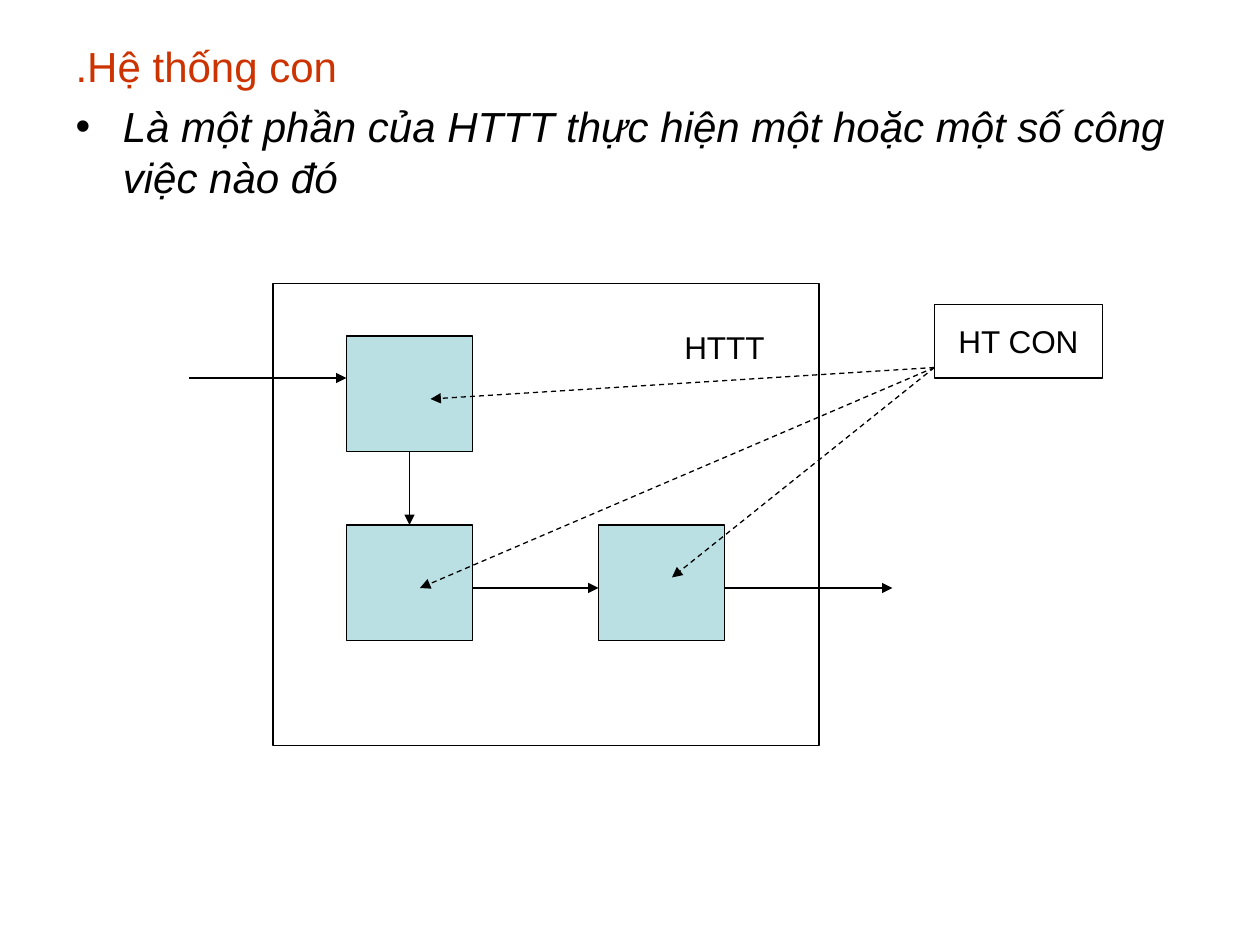
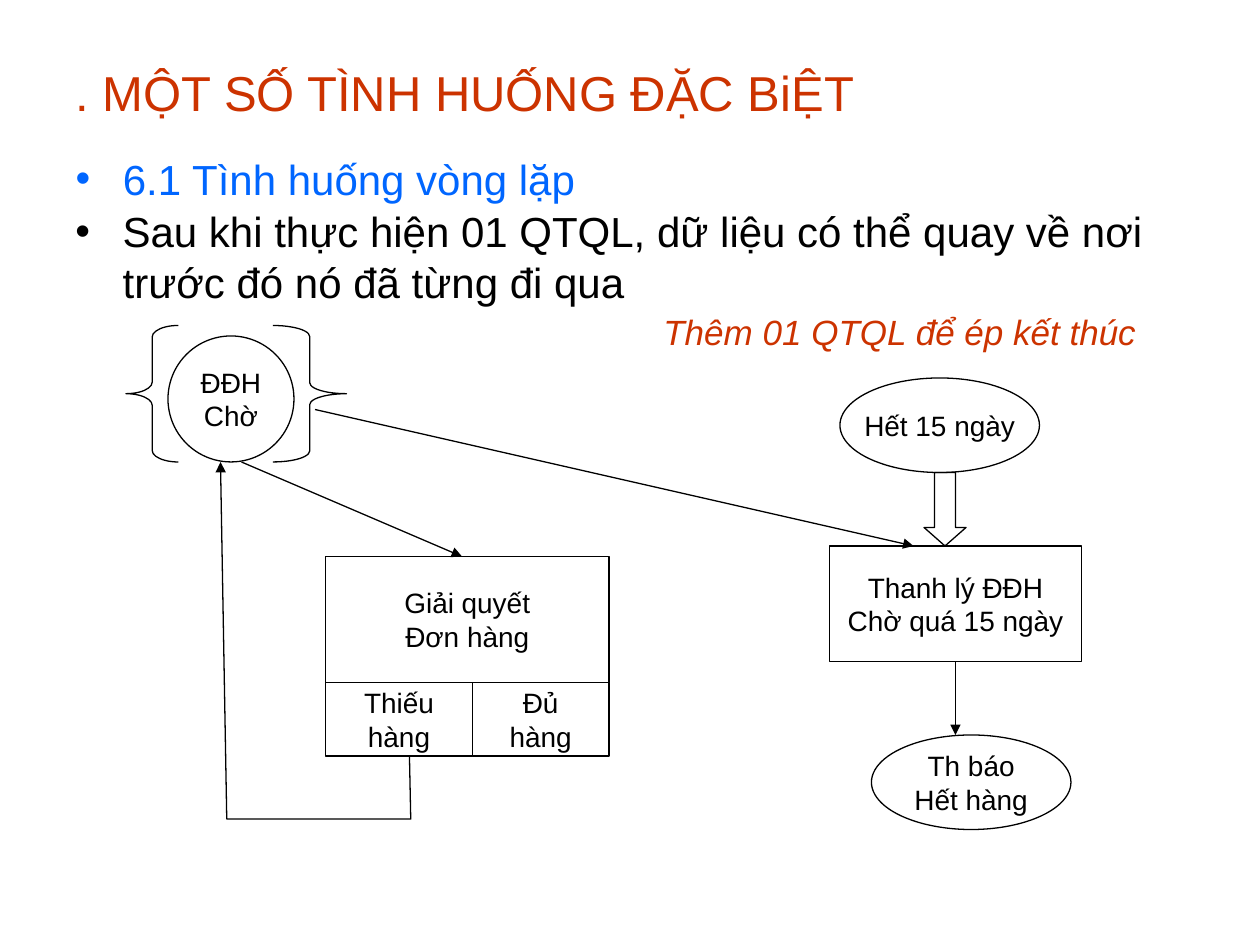
from dataclasses import dataclass

from lxml import etree
from pptx import Presentation
from pptx.dml.color import RGBColor
from pptx.enum.dml import MSO_LINE
from pptx.enum.shapes import MSO_CONNECTOR, MSO_SHAPE
from pptx.enum.text import MSO_ANCHOR, MSO_AUTO_SIZE, PP_ALIGN
from pptx.oxml.ns import qn
from pptx.util import Emu, Inches, Pt

RECTANGLE = MSO_SHAPE.RECTANGLE
OVAL = MSO_SHAPE.OVAL
DOWN_ARROW = MSO_SHAPE.DOWN_ARROW
LEFT_BRACE = MSO_SHAPE.LEFT_BRACE
RIGHT_BRACE = MSO_SHAPE.RIGHT_BRACE
STRAIGHT = MSO_CONNECTOR.STRAIGHT
DASH = MSO_LINE.DASH
MIDDLE, TOP = MSO_ANCHOR.MIDDLE, MSO_ANCHOR.TOP
LEFT, CENTER = PP_ALIGN.LEFT, PP_ALIGN.CENTER
NO_AUTOFIT = MSO_AUTO_SIZE.NONE

BLACK = RGBColor(0x00, 0x00, 0x00)
RED = RGBColor(0xCC, 0x33, 0x00)
BLUE = RGBColor(0x00, 0x66, 0xFF)
TEAL = RGBColor(0xBB, 0xE0, 0xE3)

FONT = "Arial"
COLUMNS, ROWS = 120, 90
SLIDE_WIDTH, SLIDE_HEIGHT = Inches(10), Inches(7.5)
LINE_WIDTH = Pt(0.75)
MARGIN, CONTENT_WIDTH = 6, 108
TITLE_TOP = 3.6
HANGING = Inches(0.375)


@dataclass(frozen=True)
class Area:
    column: float
    row: float
    columns: float
    rows: float

    def lengths(self) -> tuple:
        return (across(self.column), down(self.row),
                across(self.columns), down(self.rows))


@dataclass(frozen=True)
class TextStyle:
    size: int
    color: RGBColor = BLACK
    italic: bool = False


@dataclass(frozen=True)
class Node:
    area: Area
    lines: tuple = ()
    kind: int = RECTANGLE
    fill: RGBColor | None = None
    adjustments: tuple = ()
    size: int = 16


@dataclass(frozen=True)
class Arrow:
    start: tuple
    end: tuple
    dashed: bool = False


def across(columns: float) -> Emu:
    return Emu(round(SLIDE_WIDTH * columns / COLUMNS))


def down(rows: float) -> Emu:
    return Emu(round(SLIDE_HEIGHT * rows / ROWS))


def place(shape, area: Area) -> None:
    shape.left, shape.top, shape.width, shape.height = area.lengths()


def write(paragraph, text: str, style: TextStyle, alignment=LEFT, space: float = 0) -> None:
    paragraph.alignment = alignment
    paragraph.space_before = Pt(space)
    run = paragraph.add_run()
    run.text = text
    run.font.name = FONT
    run.font.size = Pt(style.size)
    run.font.italic = style.italic
    run.font.color.rgb = style.color


def add_bullet(paragraph) -> None:
    properties = paragraph._p.get_or_add_pPr()
    properties.set("marL", str(HANGING))
    properties.set("indent", str(-HANGING))
    etree.SubElement(properties, qn("a:buFont"), typeface=FONT)
    etree.SubElement(properties, qn("a:buChar"), char="•")


def write_frame(shape, text: str, style: TextStyle, anchor=TOP,
                bullet: bool = False, space: float = 0) -> None:
    frame = shape.text_frame
    frame.word_wrap = True
    frame.auto_size = NO_AUTOFIT
    frame.vertical_anchor = anchor
    paragraph = frame.paragraphs[0]
    write(paragraph, text, style, space=space)
    if bullet:
        add_bullet(paragraph)


def add_headed_slide(presentation, title: str, title_size: int, title_rows: float,
                     body: str, body_style: TextStyle, body_top: float, body_rows: float):
    slide = presentation.slides.add_slide(presentation.slide_layouts[1])
    heading, content = slide.shapes.title, slide.placeholders[1]
    place(heading, Area(MARGIN, TITLE_TOP, CONTENT_WIDTH, title_rows))
    write_frame(heading, title, TextStyle(title_size, RED), MIDDLE)
    place(content, Area(MARGIN, body_top, CONTENT_WIDTH, body_rows))
    write_frame(content, body, body_style, bullet=True, space=6)
    return slide


def add_text(slide, area: Area, text: str, style: TextStyle,
             bullet: bool = False, space: float = 0) -> None:
    write_frame(slide.shapes.add_textbox(*area.lengths()), text, style,
                bullet=bullet, space=space)


def write_centered(shape, lines: tuple, size: int) -> None:
    frame = shape.text_frame
    frame.word_wrap = False
    frame.vertical_anchor = MIDDLE
    for index, line in enumerate(lines):
        paragraph = frame.add_paragraph() if index else frame.paragraphs[0]
        write(paragraph, line, TextStyle(size), CENTER)


def outline(shape) -> None:
    shape.line.color.rgb = BLACK
    shape.line.width = LINE_WIDTH


def add_arrowhead(shape) -> None:
    line = shape.element.spPr.get_or_add_ln()
    etree.SubElement(line, qn("a:tailEnd"), type="triangle")


def add_node(slide, node: Node) -> None:
    shape = slide.shapes.add_shape(node.kind, *node.area.lengths())
    shape.shadow.inherit = False
    outline(shape)
    if node.fill is None:
        shape.fill.background()
    else:
        shape.fill.solid()
        shape.fill.fore_color.rgb = node.fill
    for index, value in enumerate(node.adjustments):
        shape.adjustments[index] = value
    if node.lines:
        write_centered(shape, node.lines, node.size)


def add_arrow(slide, arrow: Arrow) -> None:
    (start_column, start_row), (end_column, end_row) = arrow.start, arrow.end
    connector = slide.shapes.add_connector(
        STRAIGHT, across(start_column), down(start_row), across(end_column), down(end_row))
    outline(connector)
    if arrow.dashed:
        connector.line.dash_style = DASH
    add_arrowhead(connector)
    etree.SubElement(connector.element.spPr, qn("a:effectLst"))


def add_return_path(slide, points: list) -> None:
    corners = [(across(column), down(row)) for column, row in points]
    builder = slide.shapes.build_freeform(*corners[0])
    builder.add_line_segments(corners[1:], close=False)
    shape = builder.convert_to_shape()
    shape.shadow.inherit = False
    shape.fill.background()
    outline(shape)
    add_arrowhead(shape)


def build_subsystem_slide(presentation) -> None:
    slide = add_headed_slide(
        presentation, ".Hệ thống con", 24, 5.4,
        "Là một phần của HTTT thực hiện một hoặc một số công việc nào đó",
        TextStyle(24, italic=True), 9, 12)
    for column, row in ((33, 32), (33, 50), (57, 50)):
        add_node(slide, Node(Area(column, row, 12, 11), fill=TEAL))
    for arrow in (
        Arrow((18, 36), (33, 36)),
        Arrow((39, 43), (39, 50)),
        Arrow((45, 56), (57, 56)),
        Arrow((69, 56), (85, 56)),
    ):
        add_arrow(slide, arrow)
    add_node(slide, Node(Area(26, 27, 52, 44)))
    system_label = slide.shapes.add_textbox(*Area(62, 30, 14, 6).lengths())
    write_centered(system_label, ("HTTT",), 18)
    for target in ((41, 38), (40, 56), (64, 55)):
        add_arrow(slide, Arrow((89, 35), target, dashed=True))
    add_node(slide, Node(Area(89, 29, 16, 7), ("HT CON",), size=18))


def build_loop_slide(presentation) -> None:
    slide = add_headed_slide(
        presentation, ". MỘT SỐ TÌNH HUỐNG ĐẶC BiỆT", 28, 10.4,
        "6.1 Tình huống vòng lặp", TextStyle(24, BLUE), 14, 6)
    for node in (
        Node(Area(31, 53, 27, 12), ("Giải quyết", "Đơn hàng")),
        Node(Area(31, 65, 14, 7), ("Thiếu", "hàng")),
        Node(Area(45, 65, 13, 7), ("Đủ", "hàng")),
        Node(Area(16, 32, 12, 12), ("ĐĐH", "Chờ"), OVAL),
        Node(Area(12, 31, 5, 13), kind=LEFT_BRACE, adjustments=(0.22, 0.5)),
        Node(Area(26, 31, 7, 13), kind=RIGHT_BRACE, adjustments=(0.15, 0.5)),
        Node(Area(79, 52, 24, 11), ("Thanh lý ĐĐH", "Chờ quá 15 ngày")),
        Node(Area(80, 36, 19, 9), ("Hết 15 ngày",), OVAL),
        Node(Area(83, 70, 19, 9), ("Th báo", "Hết hàng"), OVAL),
        Node(Area(88, 45, 4, 7), kind=DOWN_ARROW, adjustments=(0.5, 0.44)),
    ):
        add_node(slide, node)
    add_return_path(slide, [(39, 72), (39.12, 78), (21.6, 78), (21, 44)])
    for arrow in (
        Arrow((23, 44), (44, 53)),
        Arrow((30, 39), (87, 52)),
        Arrow((91, 63), (91, 70)),
    ):
        add_arrow(slide, arrow)
    add_text(slide, Area(MARGIN, 19, CONTENT_WIDTH, 10),
             "Sau khi thực hiện 01 QTQL, dữ liệu có thể quay về nơi trước đó nó đã từng đi qua",
             TextStyle(24), bullet=True, space=6)
    add_text(slide, Area(62, 29, 48, 6), "Thêm 01 QTQL để ép kết thúc",
             TextStyle(20, RED, italic=True), space=5)


def main() -> None:
    presentation = Presentation()
    presentation.slide_width = SLIDE_WIDTH
    presentation.slide_height = SLIDE_HEIGHT
    build_subsystem_slide(presentation)
    build_loop_slide(presentation)
    presentation.save("out.pptx")


if __name__ == "__main__":
    main()
